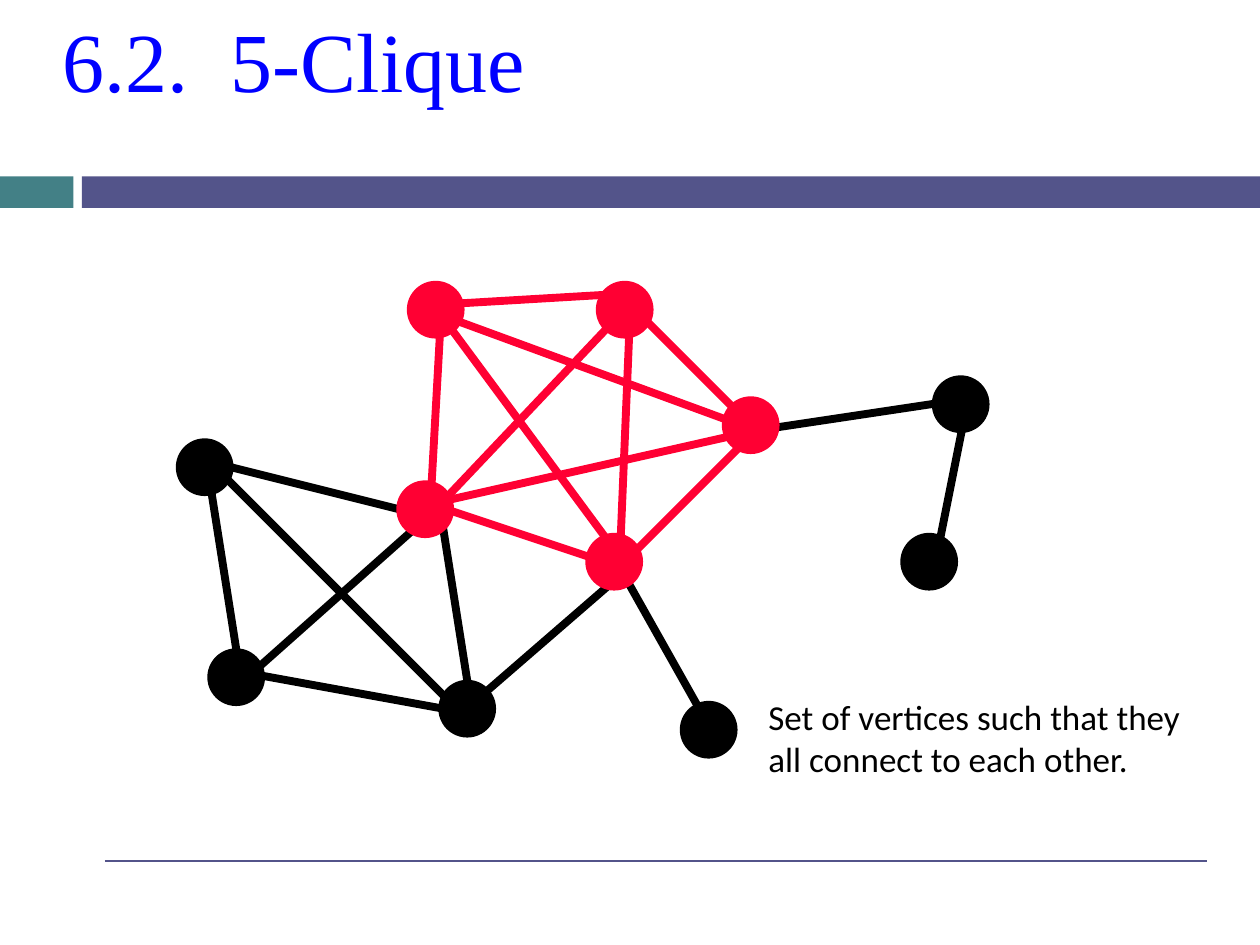
from lxml import etree
from pptx import Presentation
from pptx.dml.color import RGBColor
from pptx.enum.shapes import MSO_CONNECTOR, MSO_SHAPE
from pptx.enum.text import MSO_ANCHOR
from pptx.oxml.ns import qn
from pptx.util import Pt

PX = 7620  # EMU per px, 120 px to the inch
THEME = {
    "teal": RGBColor(0x43, 0x80, 0x86),
    "purple": RGBColor(0x53, 0x54, 0x8A),
    "red": RGBColor(0xFF, 0x00, 0x33),
    "black": RGBColor(0, 0, 0),
    "title": {"name": "Times New Roman", "size": Pt(48)},
    "title_color": RGBColor(0, 0, 0xFF),
    "caption": {"name": "Calibri", "size": Pt(20)},
    "edge": 4.5,
    "outline": 3,
    "rule": 1.5,
}
NODE = 50

prs = Presentation()
prs.slide_width, prs.slide_height = 1200 * PX, 900 * PX
s = prs.slides.add_slide(prs.slide_layouts[6])


def add_line(x1, y1, x2, y2, color, width):
    c = s.shapes.add_connector(MSO_CONNECTOR.STRAIGHT, x1 * PX, y1 * PX, x2 * PX, y2 * PX)
    c.line.color.rgb = THEME[color]
    c.line.width = Pt(width)
    etree.SubElement(c._element.spPr, qn("a:effectLst"))


def add_filled(kind, x, y, w, h, color):
    sp = s.shapes.add_shape(kind, x * PX, y * PX, w * PX, h * PX)
    sp.shadow.inherit = False
    sp.fill.solid()
    sp.fill.fore_color.rgb = THEME[color]
    sp.line.fill.background()
    return sp


# Header bars and footer rule
for x, w, color in [(0, 70, "teal"), (78, 1122, "purple")]:
    add_filled(MSO_SHAPE.RECTANGLE, x, 168, w, 30, color)
add_line(100, 820, 1150, 820, "purple", THEME["rule"])

# Graph edges, the clique in red
edges = {
    "black": [
        (200, 460, 230, 650), (230, 650, 410, 490), (420, 490, 450, 680),
        (600, 540, 450, 670), (590, 540, 680, 700), (920, 390, 890, 540),
        (920, 380, 720, 410), (200, 440, 440, 680), (400, 490, 200, 440),
        (230, 640, 450, 680),
    ],
    "red": [
        (420, 300, 410, 480), (590, 540, 410, 480), (600, 300, 590, 540),
        (610, 300, 710, 400), (590, 280, 420, 290), (590, 300, 410, 490),
        (420, 300, 590, 530), (720, 410, 590, 540), (720, 410, 420, 300),
        (410, 480, 720, 410),
    ],
}
for color, lines in edges.items():
    for ends in lines:
        add_line(*ends, color, THEME["edge"])

# Graph vertices (left, top)
vertices = {
    "black": [(170, 420), (200, 620), (420, 650), (650, 670), (860, 510), (890, 360)],
    "red": [(390, 270), (570, 270), (560, 510), (690, 380), (380, 460)],
}
for color, spots in vertices.items():
    for x, y in spots:
        sp = add_filled(MSO_SHAPE.OVAL, x, y, NODE, NODE, color)
        sp.line.color.rgb = THEME[color]
        sp.line.width = Pt(THEME["outline"])

# Title and caption
texts = [
    ("6.2.\t5-Clique", (60, 0, 1080, 180), THEME["title"], THEME["title_color"],
     {"margin_left": 0, "margin_right": 0, "margin_top": 8 * PX, "margin_bottom": 0}),
    ("Set of vertices such that they all connect to each other.", (720, 656, 440, 133),
     THEME["caption"], THEME["black"], {}),
]
for text, box, font, color, frame in texts:
    tf = s.shapes.add_textbox(*(v * PX for v in box)).text_frame
    for name, value in {"word_wrap": True, "vertical_anchor": MSO_ANCHOR.TOP, **frame}.items():
        setattr(tf, name, value)
    p = tf.paragraphs[0]
    if "\t" in text:
        tabs = etree.SubElement(p._p.get_or_add_pPr(), qn("a:tabLst"))
        etree.SubElement(tabs, qn("a:tab"), pos=str(160 * PX), algn="l")
    r = p.add_run()
    r.text = text
    for name, value in font.items():
        setattr(r.font, name, value)
    r.font.color.rgb = color

prs.save("out.pptx")
